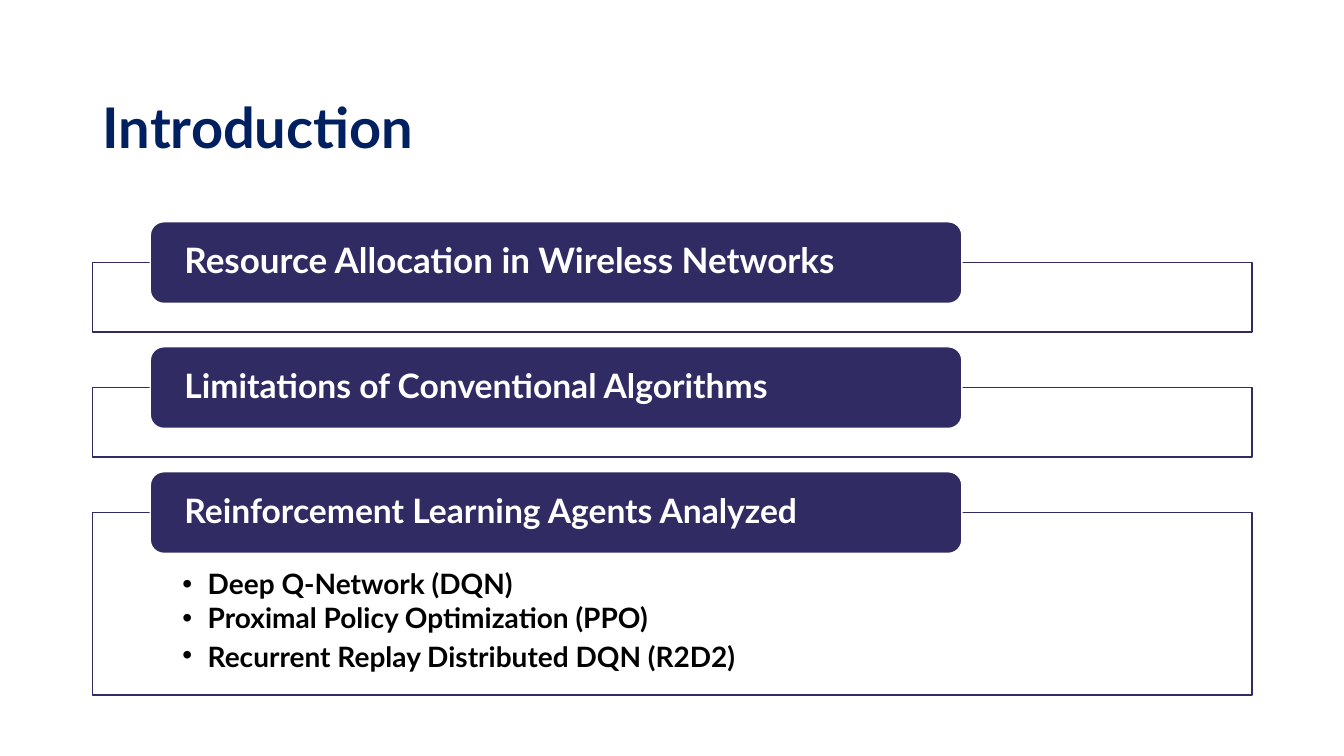
from lxml.etree import SubElement
from pptx import Presentation
from pptx.dml.color import RGBColor
from pptx.enum.shapes import MSO_SHAPE as Shape
from pptx.enum.text import MSO_ANCHOR as Anchor, PP_ALIGN as Align
from pptx.oxml.ns import qn
from pptx.util import Inches, Pt

NAVY = RGBColor(0x00, 0x20, 0x60)
INDIGO = RGBColor(0x30, 0x2B, 0x63)
WHITE = RGBColor(0xFF, 0xFF, 0xFF)
BLACK = RGBColor(0x00, 0x00, 0x00)

LEFT, WIDTH = 0.92, 11.5
FIRST_TOP, SECTION_STEP = 2.2, 1.24
HEADING_HEIGHT = 0.81

# Heading, heading size, frame height, bullets as lists of (text, size) runs
SECTIONS = [
    ("Resource Allocation in Wireless Networks", 25, 0.69, []),
    ("Limitations of Conventional Algorithms", 24, 0.69, []),
    ("Reinforcement Learning Agents Analyzed", 24, 1.81, [
        [("Deep Q-Network (DQN)", 20)],
        [("Proximal Policy Optimization (PPO)", 20)],
        [("Recurrent Replay Distributed DQN (R2D2)", 20), (" ", 24)],
    ]),
]


class SlideBuilder:
    """Holds the slide and the shared text and outline style."""

    font_name = "Lato"
    line_spacing = 0.9
    line_width = Pt(1)

    def __init__(self, slide):
        self.slide = slide

    def add_runs(self, paragraph, runs, color):
        paragraph.alignment = Align.LEFT
        paragraph.line_spacing = self.line_spacing
        for text, size in runs:
            run = paragraph.add_run()
            run.text = text
            run.font.name = self.font_name
            run.font.size = Pt(size)
            run.font.bold = True
            run.font.color.rgb = color

    def set_frame(self, text_frame, anchor, left, top, right, bottom):
        text_frame.word_wrap = True
        text_frame.vertical_anchor = anchor
        text_frame.margin_left, text_frame.margin_right = Inches(left), Inches(right)
        text_frame.margin_top, text_frame.margin_bottom = Inches(top), Inches(bottom)

    def add_title(self, text):
        title = self.slide.shapes.title
        title.left, title.top = Inches(LEFT), Inches(0.57)
        title.width, title.height = Inches(WIDTH), Inches(1.45)
        self.set_frame(title.text_frame, Anchor.MIDDLE, 0.1, 0.05, 0.1, 0.05)
        self.add_runs(title.text_frame.paragraphs[0], [(text, 40)], NAVY)

    def add_box(self, kind, left, top, width, height, fill, line):
        shape = self.slide.shapes.add_shape(
            kind, Inches(left), Inches(top), Inches(width), Inches(height))
        shape.shadow.inherit = False
        shape.fill.solid()
        shape.fill.fore_color.rgb = fill
        shape.line.color.rgb = line
        shape.line.width = self.line_width
        return shape

    def add_bullet(self, paragraph, runs):
        paragraph.level = 1
        properties = paragraph._p.get_or_add_pPr()
        properties.set("marL", str(Inches(0.25)))
        properties.set("indent", str(Inches(-0.25)))
        SubElement(properties, qn("a:buFont"), typeface="Arial")
        SubElement(properties, qn("a:buChar"), char="•")
        paragraph.space_after = Pt(3)
        self.add_runs(paragraph, runs, BLACK)

    def add_section(self, top, heading, size, frame_height, bullets):
        frame = self.add_box(Shape.RECTANGLE, LEFT, top + HEADING_HEIGHT / 2,
                             WIDTH, frame_height, WHITE, INDIGO)
        color = frame.fill._xPr.find(qn("a:solidFill"))[0]
        SubElement(color, qn("a:alpha"), val="90000")
        text_frame = frame.text_frame
        self.set_frame(text_frame, Anchor.TOP, 0.89, 0.57, 0.89, 0.16)
        for index, runs in enumerate(bullets):
            paragraph = text_frame.add_paragraph() if index else text_frame.paragraphs[0]
            self.add_bullet(paragraph, runs)

        label = self.add_box(Shape.ROUNDED_RECTANGLE, 1.49, top, 8.05,
                             HEADING_HEIGHT, INDIGO, WHITE)
        self.set_frame(label.text_frame, Anchor.MIDDLE, 0.3, 0, 0.3, 0)
        self.add_runs(label.text_frame.paragraphs[0], [(heading, size)], WHITE)


def main():
    presentation = Presentation()
    presentation.slide_width = Inches(13.33)
    presentation.slide_height = Inches(7.5)
    builder = SlideBuilder(presentation.slides.add_slide(presentation.slide_layouts[5]))
    builder.add_title("Introduction")
    for index, section in enumerate(SECTIONS):
        builder.add_section(FIRST_TOP + index * SECTION_STEP, *section)
    presentation.save("out.pptx")


if __name__ == "__main__":
    main()
